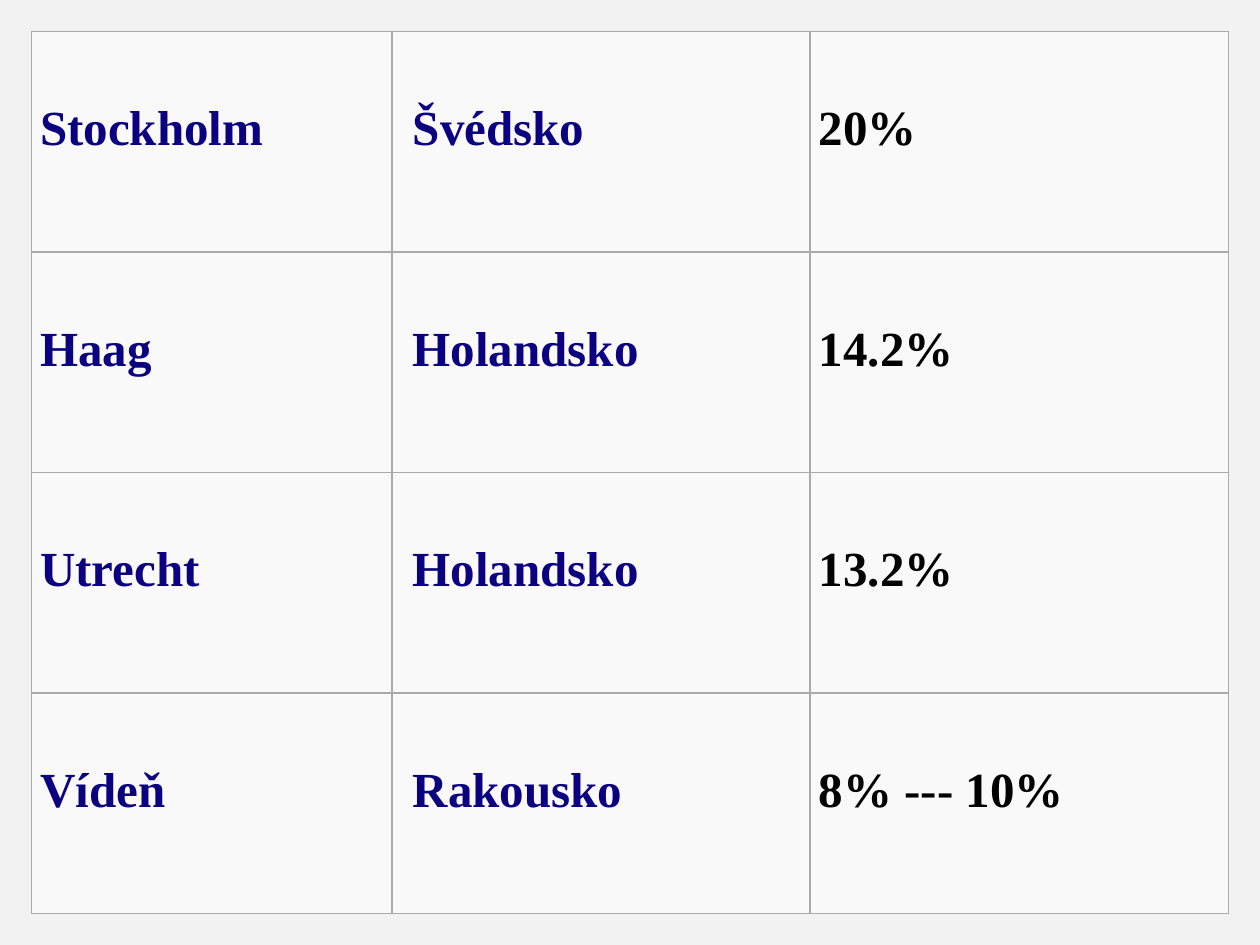
from lxml.etree import SubElement
from pptx import Presentation
from pptx.dml.color import RGBColor
from pptx.enum.text import MSO_ANCHOR
from pptx.oxml.ns import qn
from pptx.util import Inches, Pt

HUES = {"back": "F2F2F2", "cell": "F9F9F9", "line": "AAAAAA",
        "link": "0B0080", "text": "000000"}
WIDTHS = [2.86, 3.32, 3.32]
TINTS = ["link", "link", "text"]
ROWS = [
    ("Stockholm", "\u00a0Švédsko ", "20%"),
    ("Haag", "\u00a0Holandsko", "14.2%"),
    ("Utrecht", "\u00a0Holandsko", "13.2%"),
    ("Vídeň", "\u00a0Rakousko", "8% ---\u00a010%"),
]


def paint(fill, hue):
    fill.solid()
    fill.fore_color.rgb = RGBColor.from_string(HUES[hue])


def frame(cell):
    props = cell._tc.get_or_add_tcPr()
    for side in ("a:lnL", "a:lnR", "a:lnT", "a:lnB"):
        line = SubElement(props, qn(side), w=str(Pt(1)))
        fill = SubElement(line, qn("a:solidFill"))
        SubElement(fill, qn("a:srgbClr"), val=HUES["line"])


def write(cell, text, tint):
    cell.vertical_anchor = MSO_ANCHOR.MIDDLE
    cell.margin_left = cell.margin_right = Inches(0.07)
    cell.margin_top = cell.margin_bottom = Inches(0.03)
    para = cell.text_frame.paragraphs[0]
    para.text = text
    para.line_spacing = Pt(16.8)
    para.space_before = para.space_after = Pt(12)
    font = para.runs[0].font
    font.name = "Times New Roman"
    font.size = Pt(28)
    font.bold = True
    font.color.rgb = RGBColor.from_string(HUES[tint])


def add_grid(slide):
    grid = slide.shapes.add_table(
        len(ROWS), len(WIDTHS), Inches(0.25), Inches(0.25),
        Inches(9.5), Inches(7)).table
    grid.first_row = grid.horz_banding = False
    for col, width in zip(grid.columns, WIDTHS):
        col.width = Inches(width)
    for row, texts in zip(grid.rows, ROWS):
        for cell, text, tint in zip(row.cells, texts, TINTS):
            write(cell, text, tint)
            frame(cell)
            paint(cell.fill, "cell")


def main():
    deck = Presentation()
    deck.slide_width, deck.slide_height = Inches(10), Inches(7.5)
    slide = deck.slides.add_slide(deck.slide_layouts[6])
    paint(slide.background.fill, "back")
    add_grid(slide)
    deck.save("out.pptx")


main()
